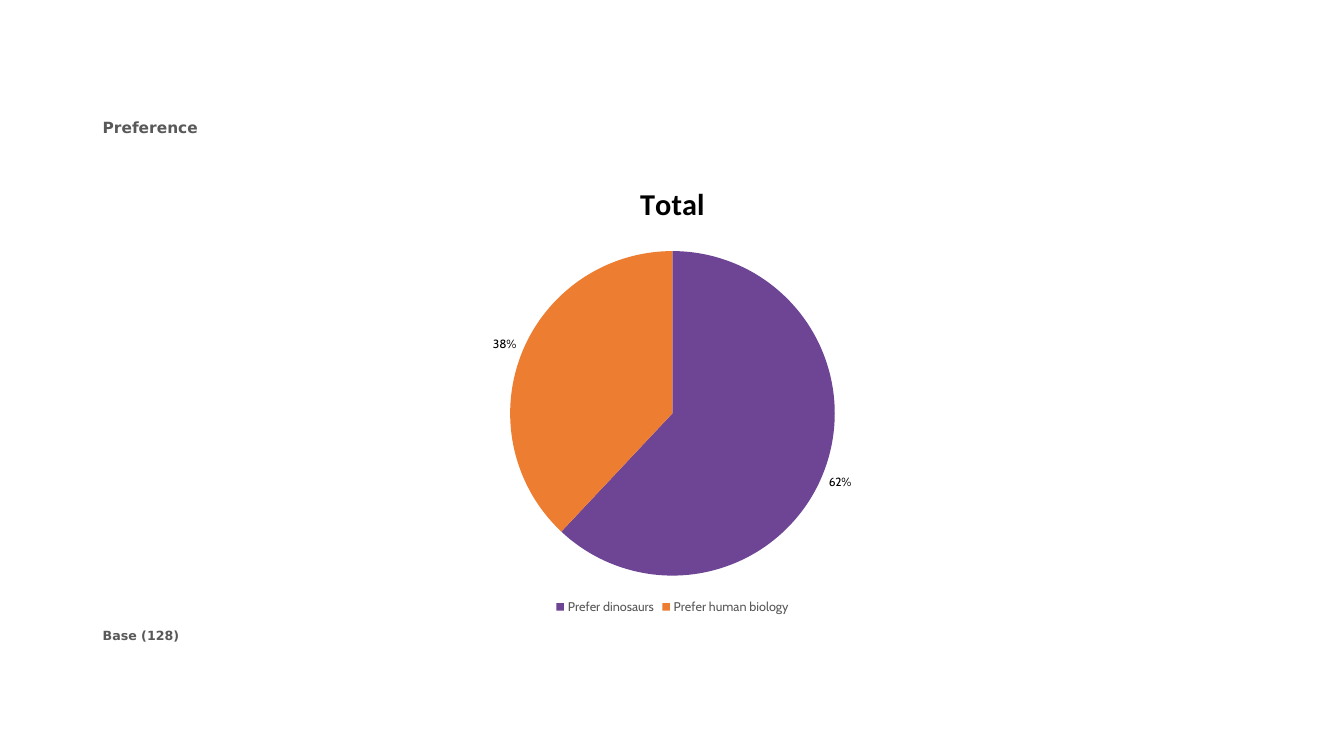
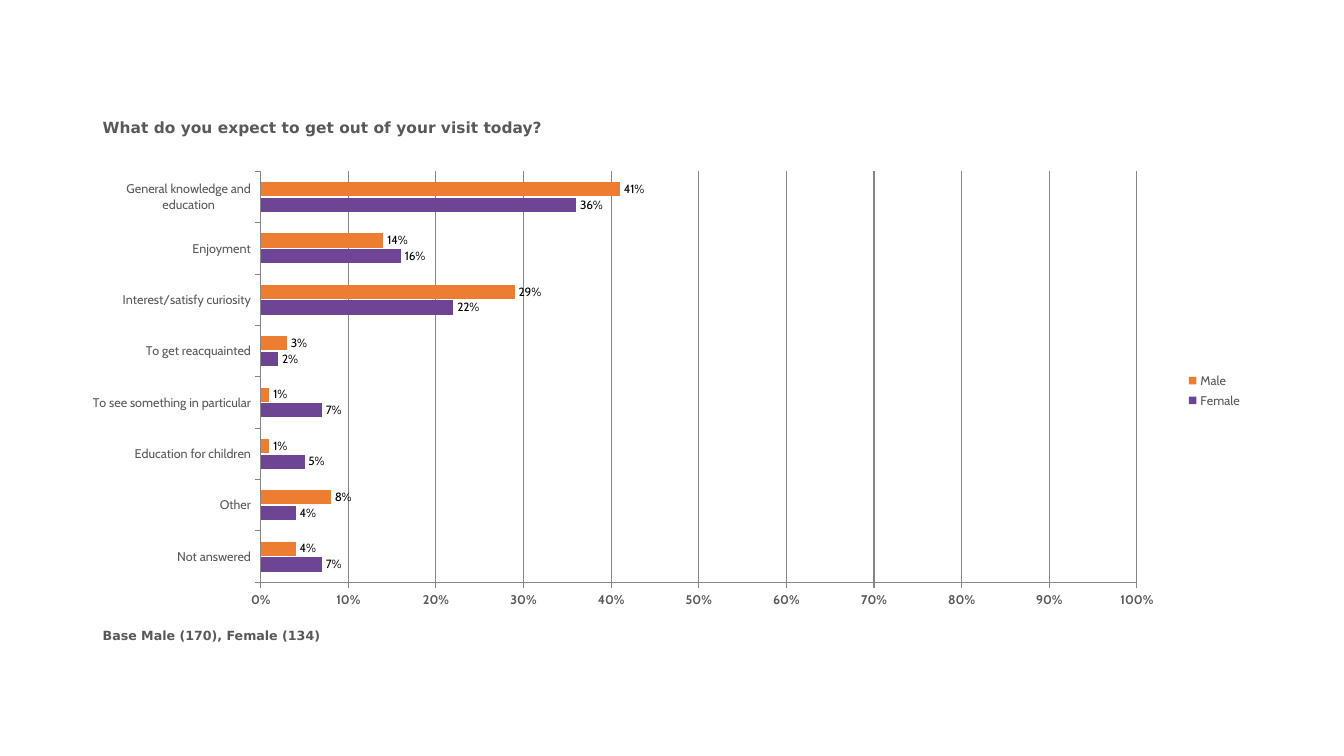
from lxml import etree
from pptx import Presentation
from pptx.chart.data import CategoryChartData
from pptx.dml.color import RGBColor
from pptx.enum.chart import (XL_CHART_TYPE, XL_LABEL_POSITION,
                             XL_LEGEND_POSITION, XL_TICK_LABEL_POSITION,
                             XL_TICK_MARK)
from pptx.oxml.ns import qn
from pptx.util import Inches, Pt

PIE, BAR = XL_CHART_TYPE.PIE, XL_CHART_TYPE.BAR_CLUSTERED
BELOW, RIGHT = XL_LEGEND_POSITION.BOTTOM, XL_LEGEND_POSITION.RIGHT
OUTER = XL_LABEL_POSITION.OUTSIDE_END
LOW = XL_TICK_LABEL_POSITION.LOW
OUT, NONE = XL_TICK_MARK.OUTSIDE, XL_TICK_MARK.NONE

BLACK = RGBColor(0x00, 0x00, 0x00)
GREY = RGBColor(0x59, 0x59, 0x59)
RULE = RGBColor(0x86, 0x86, 0x86)
PURPLE = RGBColor(0x6E, 0x45, 0x95)
ORANGE = RGBColor(0xED, 0x7D, 0x31)
COLORS = [PURPLE, ORANGE]

# Content; plot is the inner plot area (x, y, w, h) as shares of the chart
SLIDES = [
    dict(head="Preference", base="Base (128)", kind=PIE, legend=BELOW,
         plot=(0.36, 0.19, 0.28, 0.72), title="Total",
         cats=["Prefer dinosaurs", "Prefer human biology"],
         series={"Total": [0.62, 0.38]}),
    dict(head="What do you expect to get out of your visit today?",
         base="Base Male (170), Female (134)", kind=BAR, legend=RIGHT,
         plot=(0.14, 0.02, 0.76, 0.9), title=None,
         cats=["Not answered", "Other", "Education for children",
               "To see something in particular", "To get reacquainted",
               "Interest/satisfy curiosity", "Enjoyment",
               "General knowledge and education"],
         series={"Female": [0.07, 0.04, 0.05, 0.07, 0.02, 0.22, 0.16, 0.36],
                 "Male": [0.04, 0.08, 0.01, 0.01, 0.03, 0.29, 0.14, 0.41]}),
]

# Shared format and frame
HEAD = dict(name="DejaVu Sans", size=Pt(11), bold=True, color=GREY)
BASE = dict(HEAD, size=Pt(9))
SMALL = dict(name="Cabin", size=Pt(9), bold=False, color=GREY)
SCALE = dict(SMALL, bold=True)
LABEL = dict(SMALL, size=Pt(8.5), color=BLACK)
BODY = dict(name="Calibri", size=Pt(18), color=BLACK)
TITLE = dict(BODY, size=Pt(21.6), bold=True)
LEFT, WIDTH = 0.92, 11.5
ROWS = dict(head=(1.12, 0.51), chart=(1.61, 4.53), base=(6.18, 0.43))


def style(font, form):
    for key, val in form.items():
        if key == "color":
            font.color.rgb = val
        else:
            setattr(font, key, val)


def frame(row):
    top, high = ROWS[row]
    return [Inches(n) for n in (LEFT, top, WIDTH, high)]


def add_text(slide, row, text, form):
    box = slide.shapes.add_textbox(*frame(row)).text_frame
    box.word_wrap = True
    run = box.paragraphs[0].add_run()
    run.text = text
    style(run.font, form)


def place_plot(chart, shares):
    area = chart._chartSpace.find(".//" + qn("c:plotArea"))
    for old in area.findall(qn("c:layout")):
        area.remove(old)
    layout = etree.Element(qn("c:layout"))
    area.insert(0, layout)
    manual = etree.SubElement(layout, qn("c:manualLayout"))
    parts = [("layoutTarget", "inner"), ("xMode", "edge"), ("yMode", "edge")]
    for tag, val in parts + list(zip("xywh", shares)):
        etree.SubElement(manual, qn("c:" + tag)).set("val", str(val))


def paint(part, color):
    part.format.fill.solid()
    part.format.fill.fore_color.rgb = color


def set_axes(chart):
    for axis, form in ((chart.category_axis, SMALL),
                       (chart.value_axis, SCALE)):
        axis.tick_label_position = LOW
        axis.major_tick_mark, axis.minor_tick_mark = OUT, NONE
        axis.format.line.color.rgb = RULE
        style(axis.tick_labels.font, form)
    axis = chart.value_axis
    axis.minimum_scale, axis.maximum_scale, axis.major_unit = 0, 1, 0.1
    axis.tick_labels.number_format = "0%"
    axis.tick_labels.number_format_is_linked = False
    axis.has_major_gridlines = True
    axis.major_gridlines.format.line.color.rgb = RULE


def add_graph(slide, item):
    data = CategoryChartData(number_format="0%")
    data.categories = item["cats"]
    for name, vals in item["series"].items():
        data.add_series(name, vals)
    chart = slide.shapes.add_chart(item["kind"], *frame("chart"), data).chart
    style(chart.font, BODY)
    place_plot(chart, item["plot"])

    # Title and legend
    chart.has_title = bool(item["title"])
    if item["title"]:
        run = chart.chart_title.text_frame.paragraphs[0].add_run()
        run.text = item["title"]
        style(run.font, TITLE)
    chart.has_legend = True
    chart.legend.position = item["legend"]
    chart.legend.include_in_layout = False
    style(chart.legend.font, SMALL)

    # Colours: by slice in the pie, by series in the bars
    plot = chart.plots[0]
    if item["kind"] == PIE:
        plot.vary_by_categories = True
        parts = [plot.series[0].points[i] for i in range(len(item["cats"]))]
    else:
        plot.vary_by_categories = False
        plot.gap_width, plot.overlap = 150, -10
        parts = plot.series
        set_axes(chart)
    for part, color in zip(parts, COLORS):
        paint(part, color)

    # Value labels
    for series in plot.series:
        labels = series.data_labels
        labels.show_value = True
        labels.show_percentage = False
        labels.position = OUTER
        labels.number_format = "0%"
        labels.number_format_is_linked = False
        style(labels.font, LABEL)


def main():
    deck = Presentation()
    deck.slide_width, deck.slide_height = Inches(13.33), Inches(7.5)
    for item in SLIDES:
        slide = deck.slides.add_slide(deck.slide_layouts[6])
        add_text(slide, "head", item["head"], HEAD)
        add_text(slide, "base", item["base"], BASE)
        add_graph(slide, item)
    deck.save("out.pptx")


if __name__ == "__main__":
    main()
